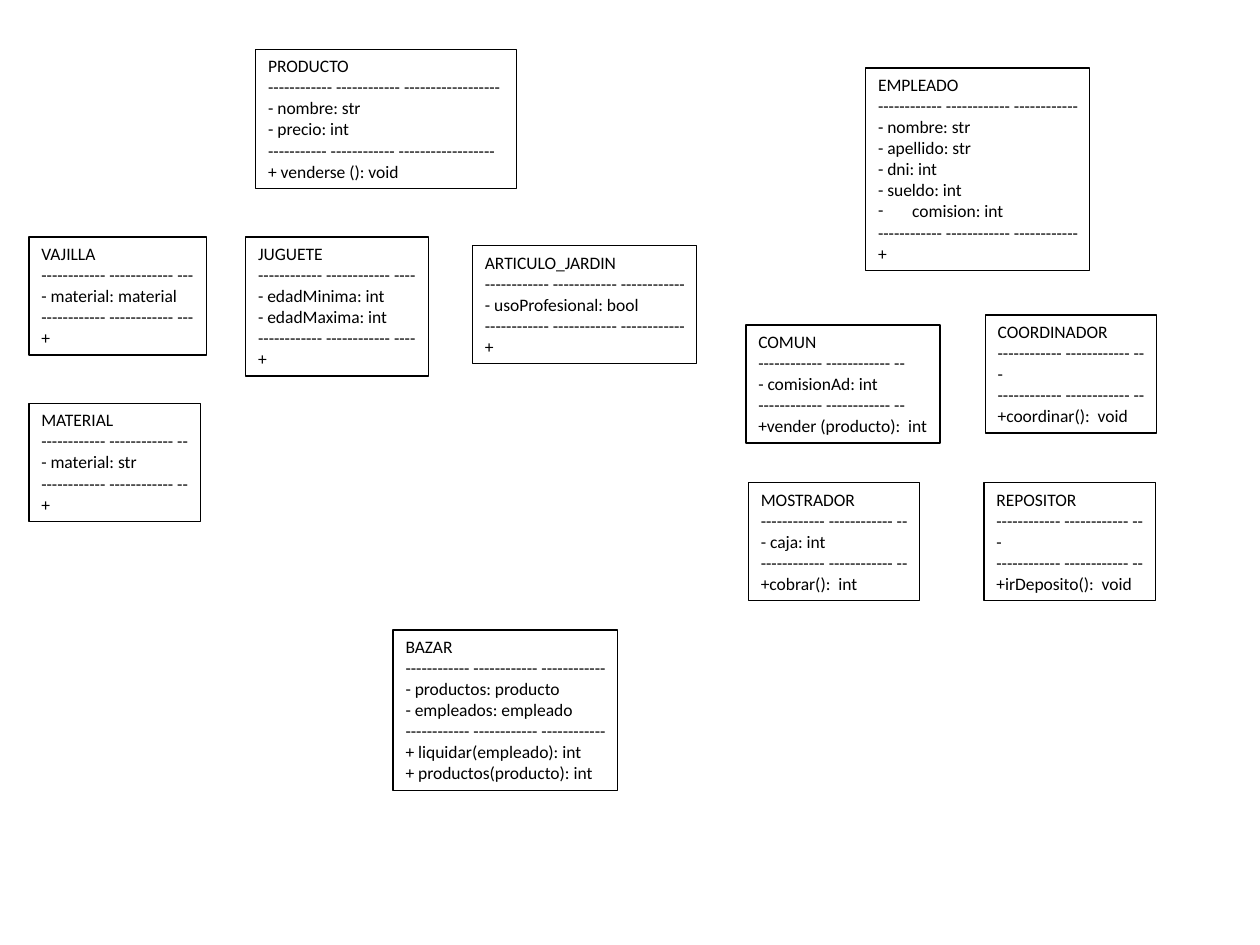
from pptx import Presentation
from pptx.dml.color import RGBColor
from pptx.enum.shapes import MSO_SHAPE as Shape
from pptx.enum.text import MSO_ANCHOR as Anchor, MSO_AUTO_SIZE as AutoSize, PP_ALIGN as Align
from pptx.oxml.ns import qn
from pptx.util import Inches, Pt
from lxml.etree import SubElement

INK = "000000"
LINE_HEIGHT = 0.1675
INSET_X, INSET_Y = 0.1, 0.05
INSET_RIGHT = 0.07  # slack that keeps the dashed rules on one line
BULLET_INDENT = 0.24
BULLET = "•"  # marks a member whose dash is a real bullet
BODY_FORMAT = {"word_wrap": False, "auto_size": AutoSize.SHAPE_TO_FIT_TEXT,
               "vertical_anchor": Anchor.TOP,
               "margin_left": Inches(INSET_X), "margin_right": Inches(INSET_RIGHT),
               "margin_top": Inches(INSET_Y), "margin_bottom": Inches(INSET_Y)}
FONT_FORMAT = {"name": "Calibri", "size": Pt(10)}

# name, left, top, width, dashes ending each rule, attributes, methods
CLASSES = [
    ("PRODUCTO", 2.03, 0.39, 2.07, 18,
     ["- nombre: str", "- precio: int"], ["+ venderse (): void"]),
    ("EMPLEADO", 6.87, 0.54, 1.78, 12,
     ["- nombre: str", "- apellido: str", "- dni: int", "- sueldo: int",
      BULLET + " comision: int"], ["+"]),
    ("VAJILLA", 0.23, 1.88, 1.41, 3, ["- material: material"], ["+"]),
    ("COMUN", 5.92, 2.58, 1.54, 2, ["- comisionAd: int"], ["+vender (producto):  int"]),
    ("JUGUETE", 1.95, 1.88, 1.45, 4, ["- edadMinima: int", "- edadMaxima: int"], ["+"]),
    ("ARTICULO_JARDIN", 3.75, 1.95, 1.78, 12, ["- usoProfesional: bool"], ["+"]),
    ("MATERIAL", 0.23, 3.2, 1.36, 2, ["- material: str"], ["+"]),
    ("COORDINADOR", 7.82, 2.5, 1.36, 2, ["-"], ["+coordinar():  void"]),
    ("MOSTRADOR", 5.94, 3.83, 1.36, 2, ["- caja: int"], ["+cobrar():  int"]),
    ("REPOSITOR", 7.81, 3.83, 1.36, 2, ["-"], ["+irDeposito():  void"]),
    ("BAZAR", 3.12, 5, 1.78, 12, ["- productos: producto", "- empleados: empleado"],
     ["+ liquidar(empleado): int", "+ productos(producto): int"]),
]


def color(value):
    return RGBColor.from_string(value)


def add_dash_bullet(para):
    props = para._p.get_or_add_pPr()
    props.set("marL", str(Inches(BULLET_INDENT)))
    props.set("indent", str(-Inches(BULLET_INDENT)))
    SubElement(props, qn("a:buFont"), typeface=FONT_FORMAT["name"])
    SubElement(props, qn("a:buChar"), char="-")


deck = Presentation()
deck.slide_width, deck.slide_height = Inches(10), Inches(7.5)
page = deck.slides.add_slide(deck.slide_layouts[6])

for name, left, top, width, dashes, attributes, methods in CLASSES:
    rule = " ".join("-" * count for count in (12, 12, dashes))
    # The lower rule of PRODUCTO is one dash shorter
    lower_rule = rule[1:] if name == "PRODUCTO" else rule
    lines = [name, rule, *attributes, lower_rule, *methods]
    height = 2 * INSET_Y + LINE_HEIGHT * len(lines)

    box = page.shapes.add_shape(Shape.RECTANGLE, *map(Inches, (left, top, width, height)))
    box.shadow.inherit = False
    box.fill.background()
    box.line.color.rgb = color(INK)
    box.line.width = Pt(0.75)

    body = box.text_frame
    for key, value in BODY_FORMAT.items():
        setattr(body, key, value)

    for index, line in enumerate(lines):
        para = body.add_paragraph() if index else body.paragraphs[0]
        para.alignment = Align.LEFT
        if line.startswith(BULLET):
            add_dash_bullet(para)
        span = para.add_run()
        span.text = line.removeprefix(BULLET)
        for key, value in FONT_FORMAT.items():
            setattr(span.font, key, value)
        span.font.color.rgb = color(INK)

deck.save("out.pptx")
